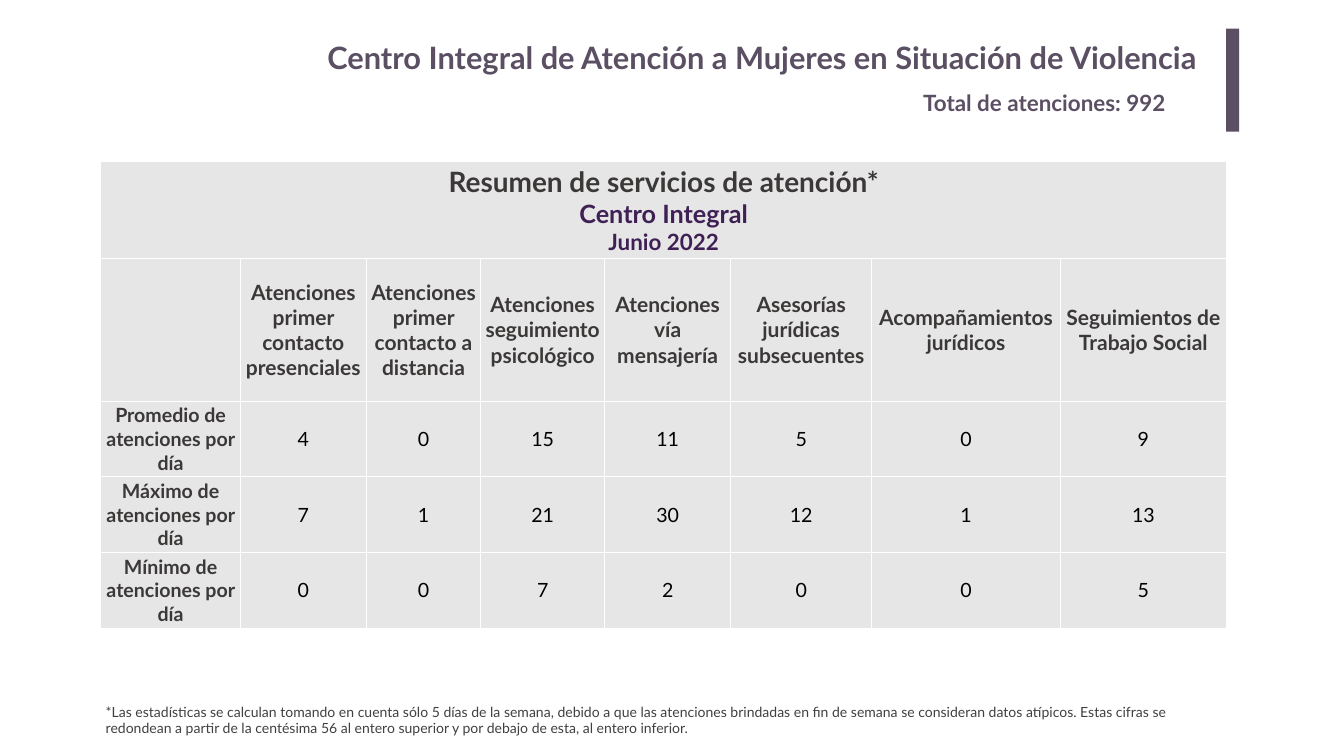
from dataclasses import dataclass

from lxml import etree
from pptx import Presentation
from pptx.dml.color import RGBColor
from pptx.enum.shapes import MSO_SHAPE
from pptx.enum.text import MSO_ANCHOR, PP_ALIGN
from pptx.oxml.ns import qn
from pptx.util import Emu, Pt

PX = 9144  # EMU in one px: 100 px to the inch
RECTANGLE = MSO_SHAPE.RECTANGLE
MIDDLE, TOP = MSO_ANCHOR.MIDDLE, MSO_ANCHOR.TOP
LEFT, CENTER, RIGHT = PP_ALIGN.LEFT, PP_ALIGN.CENTER, PP_ALIGN.RIGHT


@dataclass(frozen=True)
class Theme:
    font: str = "Lato"
    accent: str = "5B4F63"
    heading: str = "3B3838"
    purple: str = "3E2054"
    value: str = "000000"
    note: str = "404040"
    cell: str = "E7E6E6"
    border: str = "FFFFFF"
    title_size: int = 44
    caption_size: int = 40
    center_size: int = 36
    total_size: int = 32
    header_size: int = 30
    body_size: int = 28
    note_size: int = 20


THEME = Theme()

COLUMN_WIDTHS = [277, 250, 227, 246, 250, 280, 374, 330]
ROW_HEIGHTS = [192, 283, 150, 150, 150]
CAPTION = [
    ("Resumen de servicios de atención*", THEME.caption_size, THEME.heading),
    ("Centro Integral", THEME.center_size, THEME.purple),
    ("Junio 2022", THEME.total_size, THEME.purple),
]
SERVICES = [
    "",
    "Atenciones primer contacto presenciales",
    "Atenciones primer contacto a distancia",
    "Atenciones seguimiento psicológico",
    "Atenciones vía mensajería",
    "Asesorías jurídicas subsecuentes",
    "Acompañamientos jurídicos",
    "Seguimientos de Trabajo Social",
]
DAILY_FIGURES = [
    ("Promedio", [4, 0, 15, 11, 5, 0, 9]),
    ("Máximo", [7, 1, 21, 30, 12, 1, 13]),
    ("Mínimo", [0, 0, 7, 2, 0, 0, 5]),
]
FOOTNOTE = (
    "*Las estadísticas se calculan tomando en cuenta sólo 5 días de la semana, "
    "debido a que las atenciones brindadas en fin de semana se consideran datos "
    "atípicos. Estas cifras se redondean a partir de la centésima 56 al entero "
    "superior y por debajo de esta, al entero inferior."
)


def px(*lengths):
    return [Emu(length * PX) for length in lengths]


def set_margins(target, left, top, right, bottom):
    (target.margin_left, target.margin_top,
     target.margin_right, target.margin_bottom) = px(left, top, right, bottom)


def write(paragraph, text, size, color, bold=True, align=CENTER):
    paragraph.alignment = align
    run = paragraph.add_run()
    run.text = text
    run.font.name = THEME.font
    run.font.size = Pt(size)
    run.font.bold = bold
    run.font.color.rgb = RGBColor.from_string(color)


def prepare_frame(shape, margins):
    frame = shape.text_frame
    frame.word_wrap = True
    frame.vertical_anchor = TOP
    set_margins(frame, *margins)
    return frame.paragraphs[0]


def style_cell(cell):
    """White borders on every side, grey fill, middle anchor."""
    cell.vertical_anchor = MIDDLE
    set_margins(cell, 0, 0, 0, 0)
    properties = cell._tc.get_or_add_tcPr()
    for side in ("a:lnL", "a:lnR", "a:lnT", "a:lnB"):
        line = etree.SubElement(properties, qn(side), w=str(Pt(1)))
        fill = etree.SubElement(line, qn("a:solidFill"))
        etree.SubElement(fill, qn("a:srgbClr"), val=THEME.border)
    cell.fill.solid()
    cell.fill.fore_color.rgb = RGBColor.from_string(THEME.cell)


def add_heading(slide, left, top, width, height):
    # Title
    title = slide.shapes.title
    title.left, title.top, title.width, title.height = px(left, top + 10, 2030, 102)
    write(prepare_frame(title, (20, 10, 20, 10)),
          "Centro Integral de Atención a Mujeres en Situación de Violencia",
          THEME.title_size, THEME.accent, align=RIGHT)

    # Total
    total = slide.shapes.add_textbox(*px(left + 1456, top + 114, 592, 64))
    write(prepare_frame(total, (10, 5, 10, 5)), "Total de atenciones: 992",
          THEME.total_size, THEME.accent, align=LEFT)

    # Accent bar at the right edge
    bar_width = 26
    bar = slide.shapes.add_shape(
        RECTANGLE, *px(left + width - bar_width, top, bar_width, height))
    bar.shadow.inherit = False
    bar.fill.solid()
    bar.fill.fore_color.rgb = RGBColor.from_string(THEME.accent)
    bar.line.fill.background()


def add_summary(slide, left, top, width, height):
    table = slide.shapes.add_table(
        len(ROW_HEIGHTS), len(COLUMN_WIDTHS), *px(left, top, width, height)).table
    table.first_row = table.horz_banding = False
    for column, column_width in zip(table.columns, px(*COLUMN_WIDTHS)):
        column.width = column_width
    for row, row_height in zip(table.rows, px(*ROW_HEIGHTS)):
        row.height = row_height
    for cell in table.iter_cells():
        style_cell(cell)

    # Caption across all columns
    caption = table.cell(0, 0)
    caption.merge(table.cell(0, len(COLUMN_WIDTHS) - 1))
    frame = caption.text_frame
    for index, (text, size, color) in enumerate(CAPTION):
        paragraph = frame.add_paragraph() if index else frame.paragraphs[0]
        write(paragraph, text, size, color)

    # Column headings
    for column, service in enumerate(SERVICES):
        if service:
            write(table.cell(1, column).text_frame.paragraphs[0], service,
                  THEME.header_size, THEME.heading)

    # Figures per day
    for row, (measure, figures) in enumerate(DAILY_FIGURES, start=2):
        write(table.cell(row, 0).text_frame.paragraphs[0],
              f"{measure} de atenciones por día", THEME.body_size, THEME.heading)
        for column, figure in enumerate(figures, start=1):
            write(table.cell(row, column).text_frame.paragraphs[0], str(figure),
                  THEME.body_size, THEME.value, bold=False)


def add_footnote(slide, left, top, width, height):
    footnote = slide.shapes.add_textbox(*px(left, top, width, height))
    write(prepare_frame(footnote, (10, 5, 10, 5)), FOOTNOTE,
          THEME.note_size, THEME.note, bold=False, align=LEFT)


def main():
    presentation = Presentation()
    presentation.slide_width, presentation.slide_height = px(2667, 1500)
    slide = presentation.slides.add_slide(presentation.slide_layouts[5])
    add_heading(slide, 366, 57, 2093, 204)
    add_summary(slide, 200, 321, sum(COLUMN_WIDTHS), sum(ROW_HEIGHTS))
    add_footnote(slide, 200, 1390, 2233, 77)
    presentation.save("out.pptx")


if __name__ == "__main__":
    main()
